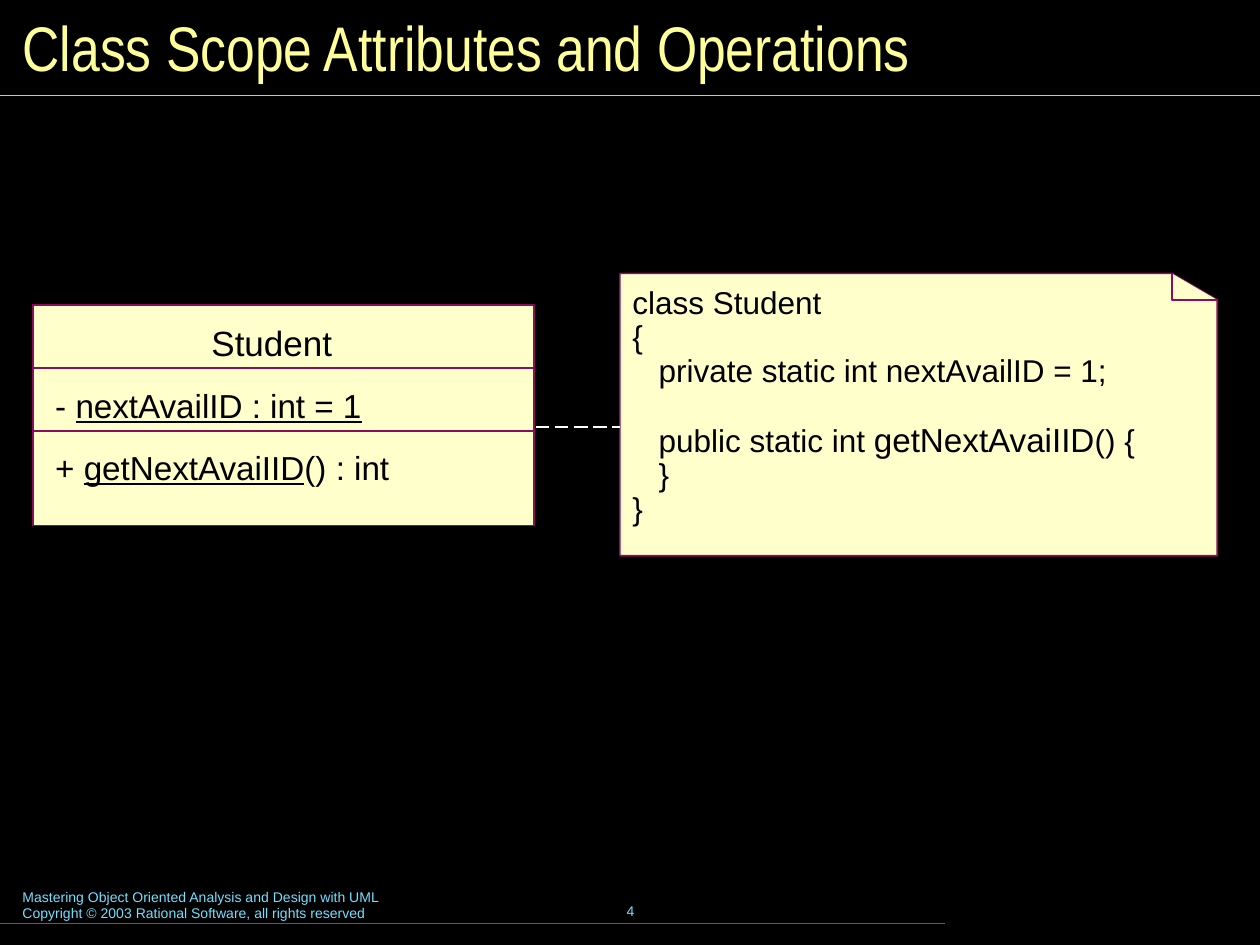
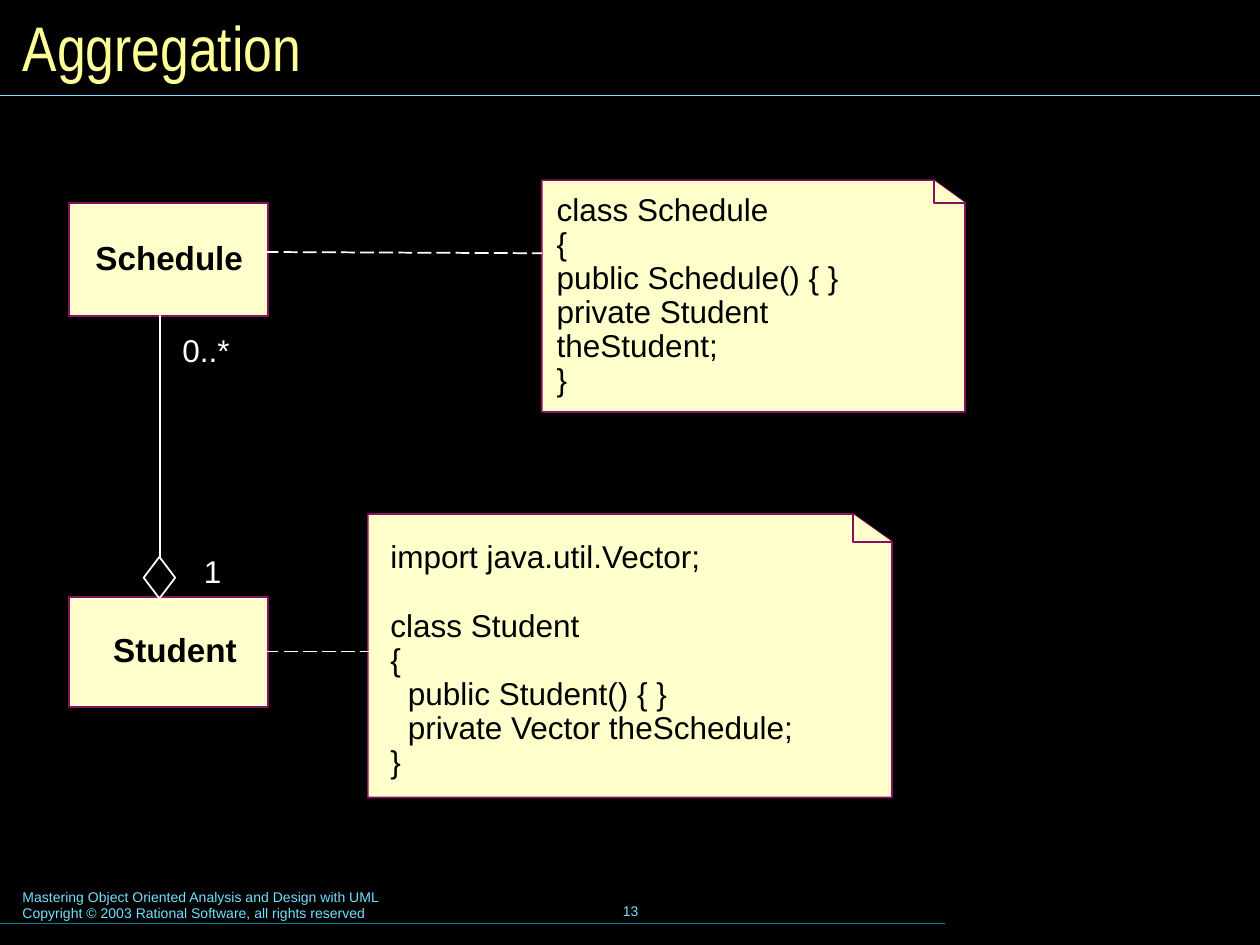
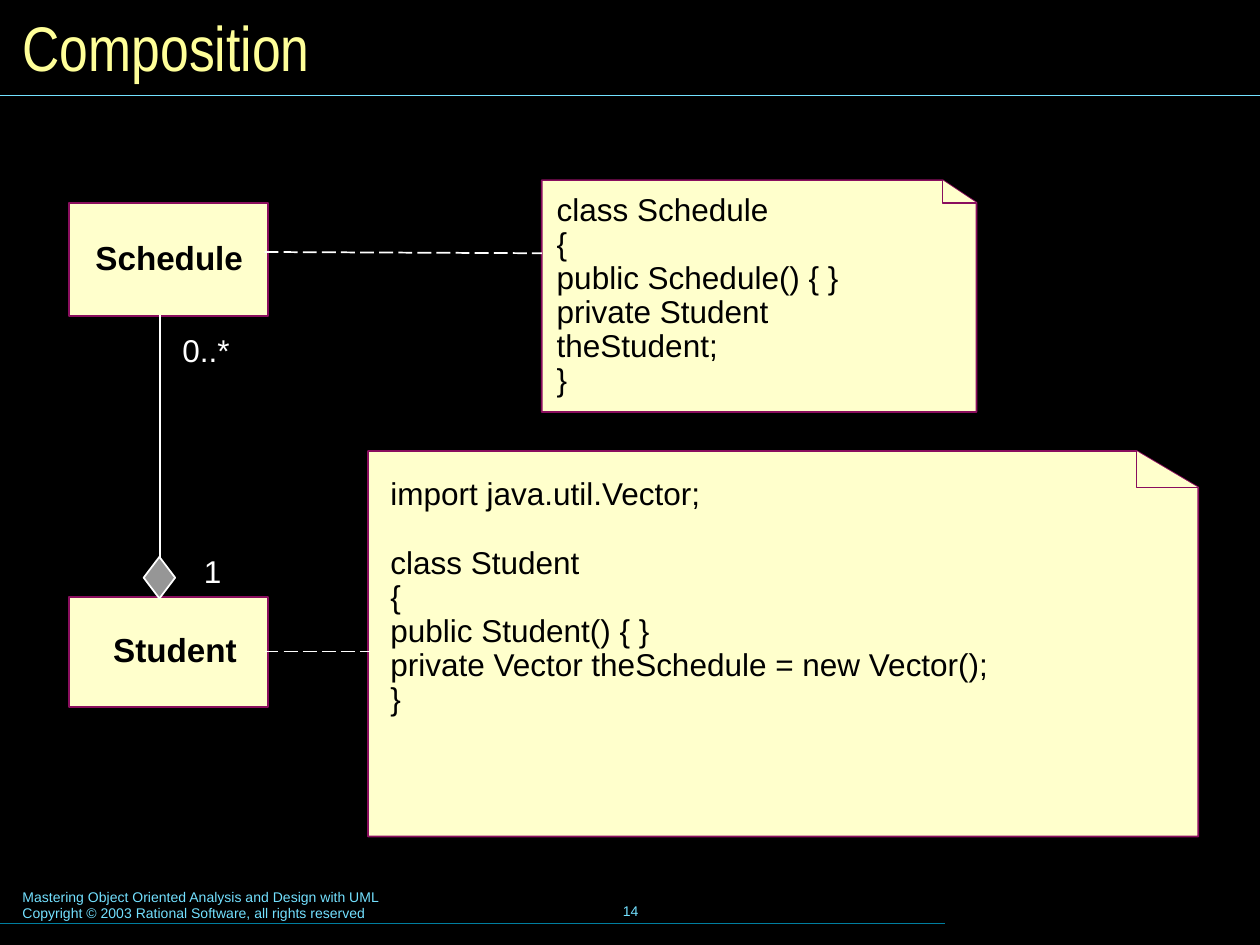
"""Build three UML slides that pair class diagrams with code notes."""
from dataclasses import dataclass

from lxml.etree import SubElement
from pptx import Presentation
from pptx.dml.color import RGBColor
from pptx.enum.dml import MSO_LINE
from pptx.enum.shapes import MSO_CONNECTOR, MSO_SHAPE
from pptx.enum.text import MSO_ANCHOR, MSO_AUTO_SIZE, PP_ALIGN
from pptx.oxml.ns import qn
from pptx.util import Inches, Pt


@dataclass(frozen=True)
class Theme:
    """Colours and type styles shared by the slides."""

    background = "000000"
    paper = "FFFFCC"
    outline = "8A0E5E"
    link = "FFFFFF"
    filled_diamond = "969696"
    title_rule = "73E1FF"
    footer_rule = "007E9F"
    title = {"name": "Arial Narrow", "size": Pt(36), "color": "FFFF99"}
    footer = {"name": "Arial", "size": Pt(8), "color": "73E1FF"}
    code = {"name": "Arial", "size": Pt(18), "color": "000000"}
    heading = {**code, "size": Pt(20)}
    member = {**code, "size": Pt(19)}
    class_name = {**member, "bold": True}
    multiplicity = {**code, "color": "FFFFFF"}
    code_spacing = 0.9
    blank_line = Pt(19.5)


THEME = Theme()
UNDERLINED = {"underline": True}

FOOTER = [
    "Mastering Object Oriented Analysis and Design with UML",
    "Copyright © 2003 Rational Software, all rights reserved",
]

SCOPE_CLASS = {
    "box": (0.26, 2.42, 3.98, 1.75),
    "dividers": [2.92, 3.42],
    "heading": ((1.58, 2.5, 1.16, 0.43), "Student"),
    "members": [
        ((0.34, 3.01, 2.64, 0.42), [("- ", {}), ("nextAvailID : int = 1", UNDERLINED)]),
        ((0.34, 3.5, 2.86, 0.42), [("+ ", {}), ("getNextAvaiIID", UNDERLINED), ("() : int", {})]),
    ],
    "link": ((4.25, 3.39), (4.92, 3.39)),
}
SCOPE_NOTE = {
    "box": (4.92, 2.17, 4.74, 2.24),
    "fold": (0.36, 0.21),
    "code_at": (4.92, 2.23, 4.92, 2),
    "code": [
        ["class Student", "{", "   private static int nextAvailID = 1;"],
        [
            [("   public static int ", {}), ("getNextAvaiIID", {"size": Pt(19)}), ("() {", {})],
            "   }",
            "}",
        ],
    ],
}

CLASSES = [
    {"box": (0.55, 1.61, 1.58, 0.9), "name_at": (0.66, 1.87, 1.37, 0.39), "name": "Schedule"},
    {"box": (0.55, 4.74, 1.58, 0.87), "name_at": (0.8, 4.98, 1.18, 0.39), "name": "Student"},
]
NOTE_LINKS = [((2.1, 2), (4.3, 2.01)), ((2.1, 5.17), (2.94, 5.17))]
DIAMOND = (1.14, 4.42, 0.25, 0.33)
WHOLE_LINK = ((1.27, 4.42), (1.27, 2.5))
MULTIPLICITIES = [((1.35, 2.58, 1, 0.4), "0..*"), ((1.52, 4.33, 1, 0.4), "1")]
SCHEDULE_CODE = [
    ["class Schedule", "{", "public Schedule() { }", "private Student theStudent;", "}"],
]
IMPORT_BLOCK = ["import java.util.Vector;"]

AGGREGATION_NOTES = [
    {
        "box": (4.3, 1.43, 3.36, 1.84),
        "fold": (0.25, 0.18),
        "code_at": (4.32, 1.49, 3.22, 1.44),
        "code": SCHEDULE_CODE,
    },
    {
        "box": (2.92, 4.08, 4.16, 2.25),
        "fold": (0.31, 0.22),
        "code_at": (3, 4.25, 3.4, 1.98),
        "code": [
            IMPORT_BLOCK,
            ["class Student", "{", "  public Student() { }", "  private Vector theSchedule;", "}"],
        ],
    },
]
COMPOSITION_NOTES = [
    {**AGGREGATION_NOTES[0], "box": (4.3, 1.43, 3.45, 1.84), "fold": (0.27, 0.18)},
    {
        "box": (2.92, 3.58, 6.59, 3.06),
        "fold": (0.49, 0.29),
        "code_at": (3, 3.75, 4.97, 1.98),
        "code": [
            IMPORT_BLOCK,
            [
                "class Student",
                "{",
                "public Student() { }",
                "private Vector theSchedule = new Vector();",
                "}",
            ],
        ],
    },
]


def rgb(color):
    return RGBColor.from_string(color)


def inches(values):
    return [Inches(value) for value in values]


def style_font(font, style):
    for key, value in style.items():
        if key == "color":
            font.color.rgb = rgb(value)
        else:
            setattr(font, key, value)


def add_text(slide, box, blocks, style, wrap=False, anchor=MSO_ANCHOR.TOP, **paragraph_format):
    """Write blocks of lines, leaving one blank line's height between blocks."""
    frame = slide.shapes.add_textbox(*inches(box)).text_frame
    frame.word_wrap = wrap
    frame.vertical_anchor = anchor
    lines = [(line, block and not row) for block, rows in enumerate(blocks) for row, line in enumerate(rows)]
    for index, (line, opens_block) in enumerate(lines):
        paragraph = frame.add_paragraph() if index else frame.paragraphs[0]
        for key, value in paragraph_format.items():
            setattr(paragraph, key, value)
        if opens_block:
            paragraph.space_before = THEME.blank_line
        for text, changes in [(line, {})] if isinstance(line, str) else line:
            run = paragraph.add_run()
            run.text = text
            style_font(run.font, {**style, **changes})


def add_line(slide, start, end, color, width=1, dash=None):
    line = slide.shapes.add_connector(MSO_CONNECTOR.STRAIGHT, *inches((*start, *end)))
    line.line.color.rgb = rgb(color)
    line.line.width = Pt(width)
    if dash:
        line.line.dash_style = dash
    SubElement(line._element.spPr, qn("a:effectLst"))


def paint(shape, fill=THEME.paper, outline=THEME.outline):
    shape.shadow.inherit = False
    if fill:
        shape.fill.solid()
        shape.fill.fore_color.rgb = rgb(fill)
    else:
        shape.fill.background()
    shape.line.color.rgb = rgb(outline)
    shape.line.width = Pt(1)


def add_outline(slide, points, close):
    start, *rest = [tuple(inches(point)) for point in points]
    builder = slide.shapes.build_freeform(*start)
    builder.add_line_segments(rest, close=close)
    paint(builder.convert_to_shape())


def add_note(slide, note):
    left, top, width, height = note["box"]
    fold_width, fold_height = note["fold"]
    right, bottom = left + width, top + height
    fold_top, fold_side = (right - fold_width, top), (right, top + fold_height)
    add_outline(slide, [(right, bottom), (left, bottom), (left, top), fold_top, fold_side], True)
    add_outline(slide, [fold_side, (fold_top[0], fold_side[1]), fold_top], False)
    add_text(slide, note["code_at"], note["code"], THEME.code, line_spacing=THEME.code_spacing)


def add_box(slide, box, kind=MSO_SHAPE.RECTANGLE, **colors):
    paint(slide.shapes.add_shape(kind, *inches(box)), **colors)


def add_note_link(slide, ends):
    add_line(slide, *ends, THEME.link, dash=MSO_LINE.LONG_DASH)


def start_slide(prs, title, number):
    """Add a slide with the shared title, rules and footer."""
    slide = prs.slides.add_slide(prs.slide_layouts[5])
    heading = slide.shapes.title
    heading.left, heading.top, heading.width, heading.height = inches((0.08, 0.08, 9.84, 0.58))
    frame = heading.text_frame
    frame.text = title
    frame.auto_size = MSO_AUTO_SIZE.NONE
    frame.vertical_anchor = MSO_ANCHOR.MIDDLE
    frame.paragraphs[0].alignment = PP_ALIGN.LEFT
    style_font(frame.paragraphs[0].runs[0].font, THEME.title)
    add_text(slide, (0.08, 7, 5.1, 0.37), [FOOTER], THEME.footer, wrap=True)
    add_text(slide, (3.42, 6.98, 3.17, 0.5), [[str(number)]], THEME.footer,
             anchor=MSO_ANCHOR.MIDDLE, alignment=PP_ALIGN.CENTER)
    add_line(slide, (0, 7.33), (7.5, 7.33), THEME.footer_rule, 0.75)
    add_line(slide, (0, 0.76), (10, 0.76), THEME.title_rule, 0.75)
    return slide


def add_scope_slide(prs, title, number):
    slide = start_slide(prs, title, number)
    add_note(slide, SCOPE_NOTE)
    left, _, width, _ = SCOPE_CLASS["box"]
    add_box(slide, SCOPE_CLASS["box"])
    for divider in SCOPE_CLASS["dividers"]:
        add_line(slide, (left, divider), (left + width, divider), THEME.outline)
    add_note_link(slide, SCOPE_CLASS["link"])
    box, name = SCOPE_CLASS["heading"]
    add_text(slide, box, [[name]], THEME.heading)
    for box, member in SCOPE_CLASS["members"]:
        add_text(slide, box, [[member]], THEME.member)


def add_whole_part_slide(prs, title, number, notes, diamond_fill):
    slide = start_slide(prs, title, number)
    for part in CLASSES:
        add_box(slide, part["box"])
        add_text(slide, part["name_at"], [[part["name"]]], THEME.class_name,
                 line_spacing=THEME.code_spacing)
    for note in notes:
        add_note(slide, note)
    for ends in NOTE_LINKS:
        add_note_link(slide, ends)
    add_box(slide, DIAMOND, MSO_SHAPE.DIAMOND, fill=diamond_fill, outline=THEME.link)
    add_line(slide, *WHOLE_LINK, THEME.link)
    for box, label in MULTIPLICITIES:
        add_text(slide, box, [[label]], THEME.multiplicity, wrap=True)


def main():
    prs = Presentation()
    prs.slide_width, prs.slide_height = Inches(10), Inches(7.5)
    backdrop = prs.slide_master.background.fill
    backdrop.solid()
    backdrop.fore_color.rgb = rgb(THEME.background)
    add_scope_slide(prs, "Class Scope Attributes and Operations", 4)
    add_whole_part_slide(prs, "Aggregation", 13, AGGREGATION_NOTES, None)
    add_whole_part_slide(prs, "Composition", 14, COMPOSITION_NOTES, THEME.filled_diamond)
    prs.save("out.pptx")


if __name__ == "__main__":
    main()
